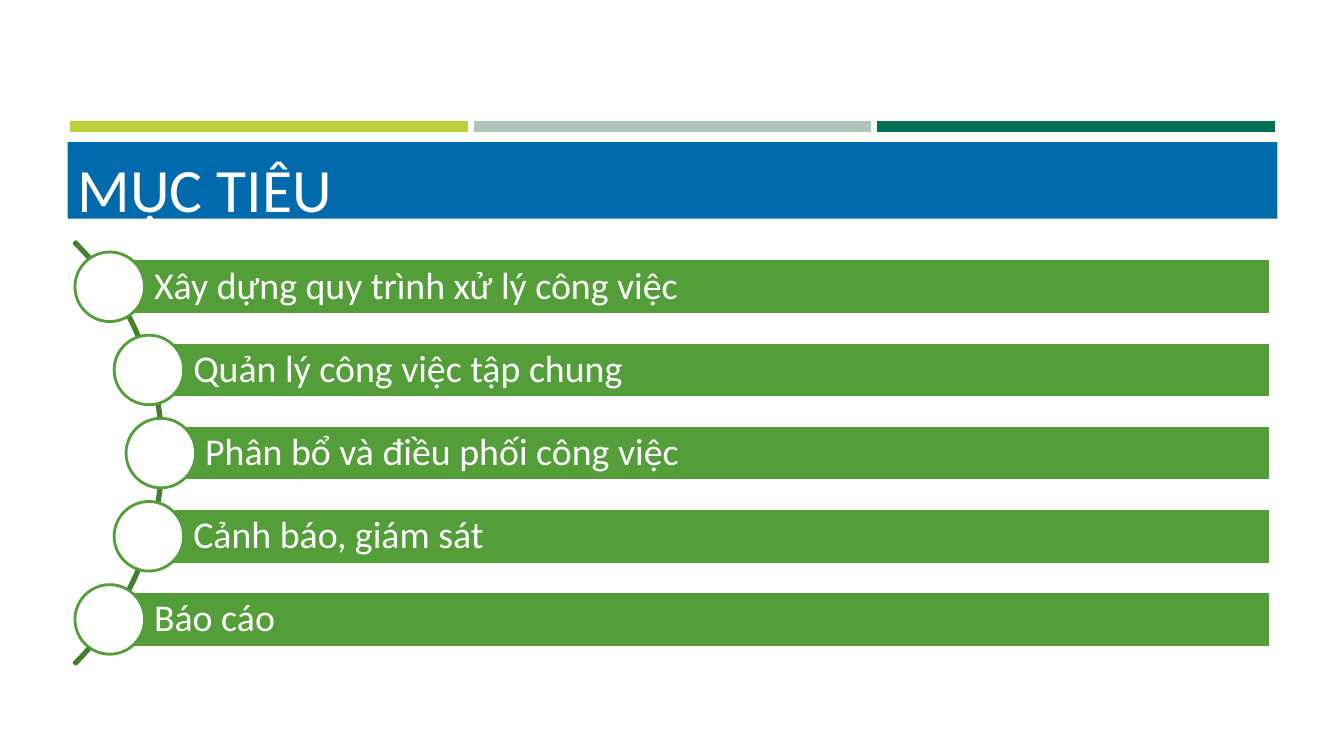
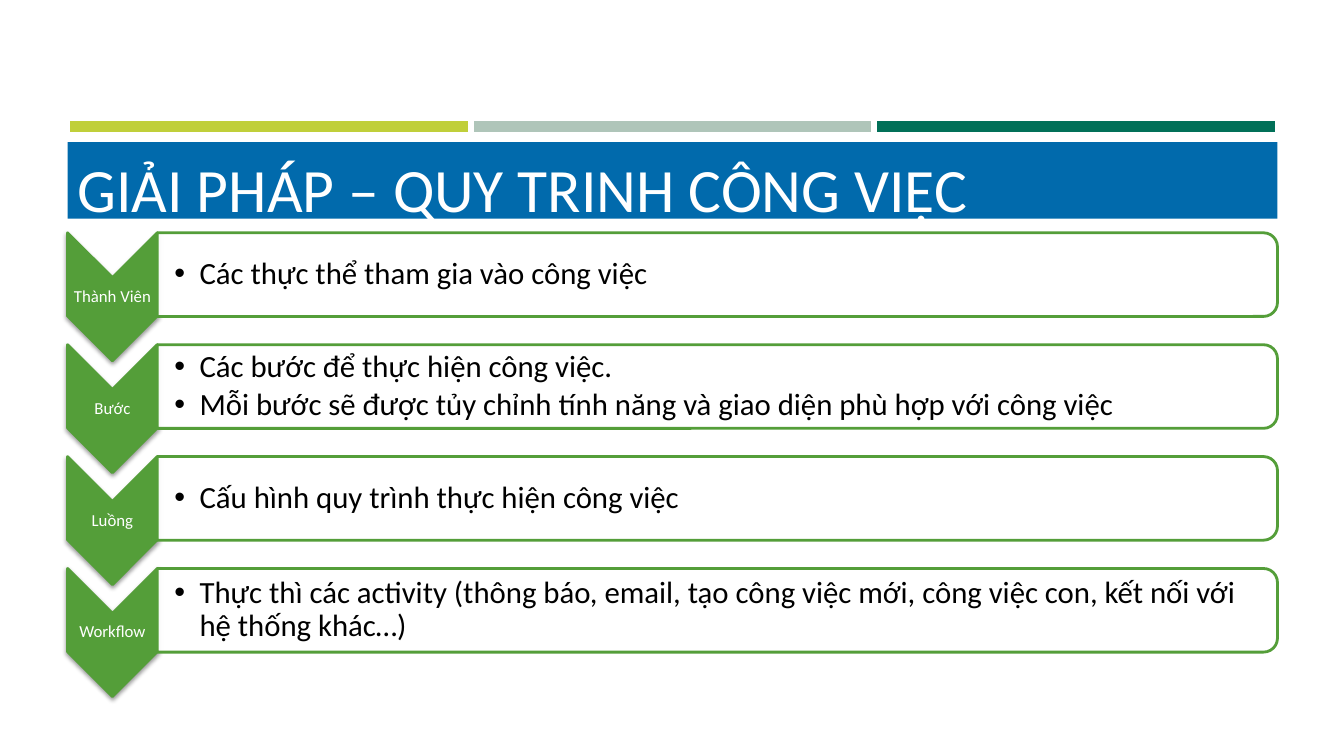
from dataclasses import dataclass
from math import sqrt

from lxml import etree
from pptx import Presentation
from pptx.dml.color import RGBColor
from pptx.enum.shapes import MSO_SHAPE as SHAPE
from pptx.enum.text import MSO_ANCHOR as ANCHOR, MSO_AUTO_SIZE as AUTOSIZE, PP_ALIGN as ALIGN
from pptx.oxml import parse_xml
from pptx.oxml.ns import nsdecls, qn
from pptx.util import Inches, Pt

# Content
GOALS_TITLE = "MỤC TIÊU"
GOALS = [
    "Xây dựng quy trình xử lý công việc",
    "Quản lý công việc tập chung",
    "Phân bổ và điều phối công việc",
    "Cảnh báo, giám sát",
    "Báo cáo",
]
PROCESS_TITLE = "GIẢI PHÁP – QUY TRINH CÔNG VIỆC"
PROCESS = [
    ("Thành Viên", ["Các thực thể tham gia vào công việc"]),
    ("Bước", [
        "Các bước để thực hiện công việc.",
        "Mỗi bước sẽ được tủy chỉnh tính năng và giao diện phù hợp với công việc",
    ]),
    ("Luồng", ["Cấu hình quy trình thực hiện công việc"]),
    ("Workflow", [
        "Thực thì các activity (thông báo, email, tạo công việc mới, "
        "công việc con, kết nối với hệ thống khác…)",
    ]),
]


@dataclass(frozen=True)
class Theme:
    font: str = "Calibri"
    white: str = "FFFFFF"
    black: str = "000000"
    title_fill: str = "016AAC"
    green: str = "549E39"
    dark_green: str = "437F2E"
    band: tuple = ("C0CF3A", "AFC5B9", "017058")
    title_size: int = 44
    goal_size: int = 27
    detail_size: int = 22
    label_size: int = 12
    line: int = 2
    band_gap: float = 4.5


T = Theme()
LEFT, WIDTH = 0.67, 12


def rgb(color):
    return RGBColor.from_string(color)


def box(x, y, w, h):
    return [Inches(v) for v in (x, y, w, h)]


def add_shape(slide, kind, x, y, w, h, fill=None, line=None, turned=False):
    """Add a preset shape; a turned one fills the given box after a 90° turn."""
    if turned:
        x, y, w, h = x + (w - h) / 2, y + (h - w) / 2, h, w
    sp = slide.shapes.add_shape(kind, *box(x, y, w, h))
    sp.rotation = 90 if turned else 0
    sp.shadow.inherit = False
    if fill:
        sp.fill.solid()
        sp.fill.fore_color.rgb = rgb(fill)
    else:
        sp.fill.background()
    sp.line.color.rgb = rgb(line)
    sp.line.width = Pt(T.line)
    return sp


def set_frame(tf, left, top, right, bottom, anchor=ANCHOR.MIDDLE):
    tf.word_wrap = True
    tf.auto_size = AUTOSIZE.NONE
    tf.vertical_anchor = anchor
    tf.margin_left, tf.margin_top, tf.margin_right, tf.margin_bottom = box(
        left, top, right, bottom)


def write(tf, lines, size, color, align=ALIGN.LEFT, spacing=0.9, after=0, bullet=False):
    for i, text in enumerate(lines):
        p = tf.add_paragraph() if i else tf.paragraphs[0]
        p.alignment = align
        p.line_spacing = spacing
        p.space_after = Pt(after)
        if bullet:
            pPr = p._p.get_or_add_pPr()
            pPr.set("marL", str(Inches(0.25)))
            pPr.set("indent", str(Inches(-0.25)))
            etree.SubElement(pPr, qn("a:buFont")).set("typeface", "Arial")
            etree.SubElement(pPr, qn("a:buChar")).set("char", "•")
        r = p.add_run()
        r.text = text
        r.font.name, r.font.size = T.font, Pt(size)
        r.font.color.rgb = rgb(color)


# Shared parts
def add_band(slide, layout):
    """Build the three-colour band and move it to the layout."""
    frame = slide.shapes.add_table(1, len(T.band), *box(LEFT, 1.17, WIDTH, 0.17))
    for cell, color in zip(frame.table.rows[0].cells, T.band):
        cell.margin_left = cell.margin_right = cell.margin_top = cell.margin_bottom = 0
        tcPr = cell._tc.get_or_add_tcPr()
        for side in ("lnL", "lnR", "lnT", "lnB"):
            tcPr.append(parse_xml(
                f'<a:{side} {nsdecls("a")} w="{Pt(T.band_gap)}"><a:solidFill>'
                f'<a:srgbClr val="{T.white}"/></a:solidFill></a:{side}>'))
        cell.fill.solid()
        cell.fill.fore_color.rgb = rgb(color)
        end = etree.SubElement(cell.text_frame.paragraphs[0]._p, qn("a:endParaRPr"))
        end.set("sz", "100")
    frame._element.nvGraphicFramePr.cNvPr.set("id", "20")
    layout.shapes._spTree.append(frame._element)


def add_titled_slide(prs, layout, text):
    slide = prs.slides.add_slide(layout)
    title = slide.shapes.title
    title.left, title.top, title.width, title.height = box(LEFT, 1.41, WIDTH, 0.76)
    title.fill.solid()
    title.fill.fore_color.rgb = rgb(T.title_fill)
    set_frame(title.text_frame, 0.1, 0.09, 0.1, 0, ANCHOR.TOP)
    write(title.text_frame, [text], T.title_size, T.white, spacing=1.0)
    return slide


# Goals strung along an arc
def draw_goals(slide):
    arc_x, arc_y, arc_size = -4.31, 1.53, 5.93
    arc = add_shape(slide, SHAPE.BLOCK_ARC, arc_x, arc_y, arc_size, arc_size,
                    line=T.dark_green)
    for i, value in enumerate((189, 27, 0.004)):
        arc.adjustments[i] = value

    center_x, center_y = arc_x + arc_size / 2, arc_y + arc_size / 2
    radius, pitch, bar_h, dot, right = 2.94, 0.825, 0.55, 0.69, 12.6
    for i, goal in enumerate(GOALS):
        dy = (i - (len(GOALS) - 1) / 2) * pitch
        x, y = center_x + sqrt(radius ** 2 - dy ** 2), center_y + dy
        bar = add_shape(slide, SHAPE.RECTANGLE, x, y - bar_h / 2, right - x, bar_h,
                        T.green, T.white)
        set_frame(bar.text_frame, 0.44, 0.07, 0.07, 0.07)
        write(bar.text_frame, [goal], T.goal_size, T.white)
        add_shape(slide, SHAPE.OVAL, x - dot / 2, y - dot / 2, dot, dot, T.white, T.green)


# Process steps: chevron, label and detail panel
def add_soft_shadow(sp):
    sp._element.spPr.find(qn("a:effectLst")).append(parse_xml(
        f'<a:outerShdw {nsdecls("a")} blurRad="{Pt(3.1)}" dist="{Pt(1.6)}" dir="5400000" '
        f'rotWithShape="0"><a:srgbClr val="{T.black}"><a:alpha val="38000"/></a:srgbClr>'
        '</a:outerShdw>'))


def add_text(slide, x, y, w, h, margins, *args, **style):
    tf = slide.shapes.add_textbox(*box(x, y, w, h)).text_frame
    set_frame(tf, *margins)
    write(tf, *args, **style)


def draw_process(slide):
    top, pitch, chevron_w, chevron_h, panel_h = 2.31, 1.11, 0.89, 1.27, 0.83
    panel_x, panel_w = LEFT + chevron_w, WIDTH - chevron_w
    for i, (label, details) in enumerate(PROCESS):
        y = top + i * pitch
        chevron = add_shape(slide, SHAPE.CHEVRON, LEFT, y, chevron_w, chevron_h,
                            T.green, T.green, turned=True)
        add_soft_shadow(chevron)
        add_text(slide, LEFT, y + chevron_w / 2, chevron_w, chevron_h - chevron_w,
                 [0.01] * 4, [label], T.label_size, T.white, align=ALIGN.CENTER)
        panel = add_shape(slide, SHAPE.ROUND_2_SAME_RECTANGLE, panel_x, y, panel_w, panel_h,
                          T.white, T.green, turned=True)
        color = panel._element.spPr.find(qn("a:solidFill"))[0]
        etree.SubElement(color, qn("a:alpha")).set("val", "90000")
        add_text(slide, panel_x, y + 0.04, panel_w - 0.04, panel_h - 0.08,
                 (0.17, 0.02, 0.02, 0.02), details, T.detail_size, T.black,
                 after=0.15 * T.detail_size, bullet=True)


def main():
    prs = Presentation()
    prs.slide_width, prs.slide_height = Inches(13.33), Inches(7.5)
    layout = prs.slide_layouts[5]
    goals = add_titled_slide(prs, layout, GOALS_TITLE)
    add_band(goals, layout)
    draw_goals(goals)
    draw_process(add_titled_slide(prs, layout, PROCESS_TITLE))
    prs.save("out.pptx")


if __name__ == "__main__":
    main()
